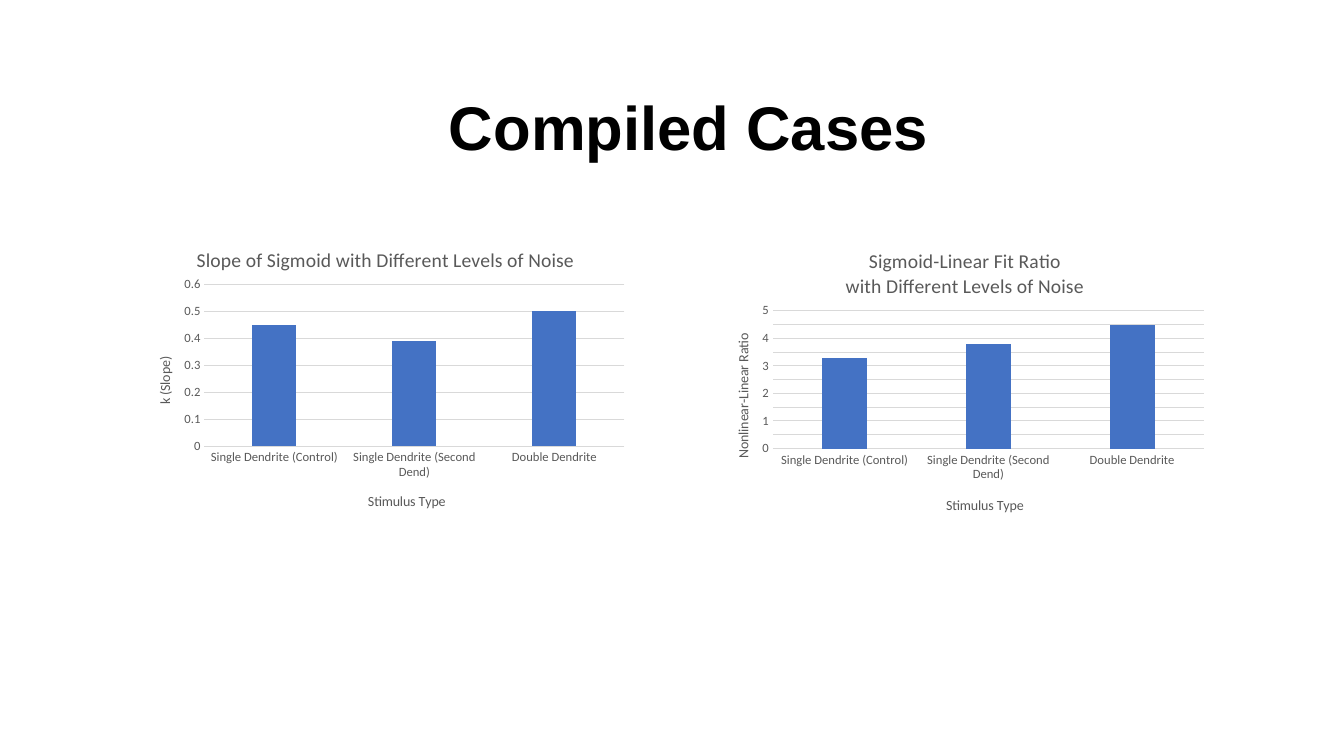
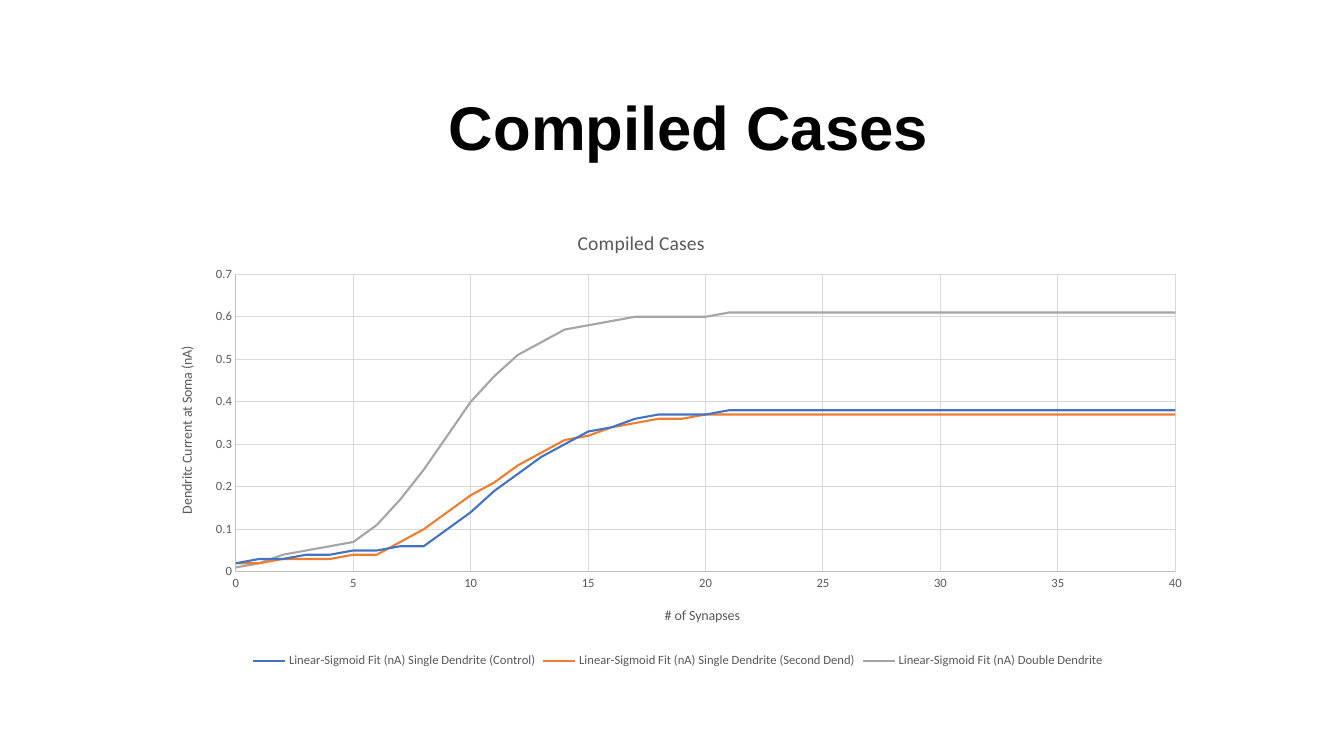
from pptx import Presentation
from pptx.chart.data import CategoryChartData, XyChartData
from pptx.dml.color import RGBColor
from pptx.enum import chart as ch, text
from pptx.oxml import parse_xml
from pptx.oxml.ns import nsdecls, qn
from pptx.util import Pt

BLACK, GREY, GRID, AXIS = "000000", "595959", "D9D9D9", "BFBFBF"
BLUE, ORANGE, SILVER = "4472C4", "ED7D31", "A5A5A5"
HEADING_FONT, CHART_FONT = "Arial", "Calibri"

STIMULI = ["Single Dendrite (Control)", "Single Dendrite (Second Dend)", "Double Dendrite"]
SYNAPSES = 40
# Currents for 0, 1, 2 ... synapses; the last value is the plateau that holds up to SYNAPSES.
CURRENTS = [
    [0.02, 0.03, 0.03, 0.04, 0.04, 0.05, 0.05, 0.06, 0.06, 0.1, 0.14, 0.19,
     0.23, 0.27, 0.3, 0.33, 0.34, 0.36, 0.37, 0.37, 0.37, 0.38],
    [0.02, 0.02, 0.03, 0.03, 0.03, 0.04, 0.04, 0.07, 0.1, 0.14, 0.18, 0.21,
     0.25, 0.28, 0.31, 0.32, 0.34, 0.35, 0.36, 0.36, 0.37],
    [0.01, 0.02, 0.04, 0.05, 0.06, 0.07, 0.11, 0.17, 0.24, 0.32, 0.4, 0.46,
     0.51, 0.54, 0.57, 0.58, 0.59, 0.6, 0.6, 0.6, 0.6, 0.61],
]


def rgb(color):
    return RGBColor.from_string(color)


def style_font(font, name, size, color, bold=False):
    font.name, font.size, font.bold = name, Pt(size), bold
    font.color.rgb = rgb(color)


def style_line(line, color, width=0.75):
    line.color.rgb = rgb(color)
    line.width = Pt(width)


def add_titled_slide(prs, title):
    slide = prs.slides.add_slide(prs.slide_layouts[5])
    heading = slide.shapes.title
    heading.left, heading.top, heading.width, heading.height = map(Pt, (78, 41, 828, 104.5))
    frame = heading.text_frame
    frame.text = title
    frame.vertical_anchor = text.MSO_ANCHOR.MIDDLE
    paragraph = frame.paragraphs[0]
    paragraph.alignment = text.PP_ALIGN.CENTER
    paragraph.line_spacing = 0.9
    style_font(paragraph.runs[0].font, HEADING_FONT, 44, BLACK, True)
    return slide


def place(element, box, size):
    """Fix a chart part at box (x, y[, w, h]), in points inside a chart of the given size."""
    for old in element.findall(qn("c:layout")):
        element.remove(old)
    target = '<c:layoutTarget val="inner"/>' if len(box) == 4 else ""
    modes = '<c:xMode val="edge"/><c:yMode val="edge"/>'
    values = "".join(f'<c:{key} val="{length / whole:.4f}"/>'
                     for key, length, whole in zip("xywh", box, size * 2))
    layout = parse_xml(f'<c:layout {nsdecls("c")}><c:manualLayout>{target}{modes}{values}'
                       "</c:manualLayout></c:layout>")
    element.insert(0 if element.find(qn("c:tx")) is None else 1, layout)


def set_title(title, wording, font_size, at, size):
    title.text_frame.text = wording
    for paragraph in title.text_frame.paragraphs:
        for run in paragraph.runs:
            style_font(run.font, CHART_FONT, font_size, GREY)
    place(title.element, at, size)


def style_axis(axis, line_color, grid):
    axis.major_tick_mark = axis.minor_tick_mark = ch.XL_TICK_MARK.NONE
    style_font(axis.tick_labels.font, CHART_FONT, 9, GREY)
    if line_color:
        style_line(axis.format.line, line_color)
    else:
        axis.format.line.fill.background()
    axis.has_major_gridlines = grid
    if grid:
        style_line(axis.major_gridlines.format.line, GRID)


def set_scale(axis, maximum, step):
    axis.minimum_scale, axis.maximum_scale, axis.major_unit = 0, maximum, step
    axis.tick_labels.number_format = "General"
    axis.tick_labels.number_format_is_linked = False


def add_chart(slide, kind, data, box, plot_box, titles):
    """Add a chart; titles holds (wording, position) for the chart, x axis and y axis."""
    chart = slide.shapes.add_chart(kind, *map(Pt, box), data).chart
    size = box[2:]
    style_font(chart.font, CHART_FONT, 10, BLACK)
    chart.has_title, chart.has_legend = True, False
    owners = [chart.chart_title, chart.category_axis.axis_title, chart.value_axis.axis_title]
    for owner, (wording, at), font_size in zip(owners, titles, (14, 10, 10)):
        set_title(owner, wording, font_size, at, size)
    place(chart.element.find(".//" + qn("c:plotArea")), plot_box, size)
    return chart


def add_columns(slide, values, box, plot_box, titles, maximum, step):
    data = CategoryChartData()
    data.categories = STIMULI
    data.add_series("Series 1", values)
    chart = add_chart(slide, ch.XL_CHART_TYPE.COLUMN_CLUSTERED, data, box, plot_box, titles)
    style_axis(chart.category_axis, GRID, False)
    style_axis(chart.value_axis, None, True)
    set_scale(chart.value_axis, maximum, step)
    plot = chart.plots[0]
    plot.gap_width, plot.overlap, plot.vary_by_categories = 219, -27, False
    fill = plot.series[0].format.fill
    fill.solid()
    fill.fore_color.rgb = rgb(BLUE)


def add_curves(slide, box, plot_box, titles):
    data = XyChartData()
    for stimulus, currents in zip(STIMULI, CURRENTS):
        series = data.add_series(f"Linear-Sigmoid Fit (nA) {stimulus}")
        for count in range(SYNAPSES + 1):
            series.add_data_point(count, currents[min(count, len(currents) - 1)])
    chart = add_chart(slide, ch.XL_CHART_TYPE.XY_SCATTER_SMOOTH_NO_MARKERS, data,
                      box, plot_box, titles)
    for axis, maximum, step in ((chart.category_axis, SYNAPSES, 5), (chart.value_axis, 0.7, 0.1)):
        style_axis(axis, AXIS, True)
        set_scale(axis, maximum, step)
    chart.plots[0].vary_by_categories = False
    for series, color in zip(chart.plots[0].series, (BLUE, ORANGE, SILVER)):
        style_line(series.format.line, color, 1.5)
        series.marker.style = ch.XL_MARKER_STYLE.NONE
    chart.has_legend = True
    chart.legend.position = ch.XL_LEGEND_POSITION.BOTTOM
    chart.legend.include_in_layout = False
    style_font(chart.legend.font, CHART_FONT, 9, GREY)


def main():
    prs = Presentation()
    prs.slide_width, prs.slide_height = Pt(960), Pt(540)

    bars = add_titled_slide(prs, "Compiled Cases")
    add_columns(bars, [0.45, 0.39, 0.5], (93, 160.5, 360, 216), (53, 42.5, 300, 116),
                [("Slope of Sigmoid with Different Levels of Noise", (45, 12.5)),
                 ("Stimulus Type", (168, 189.5)), ("k (Slope)", (16.5, 92.5))], 0.6, 0.1)
    add_columns(bars, [3.3, 3.8, 4.5], (507.5, 163.5, 360, 216), (44.5, 58.5, 308, 98.5),
                [("Sigmoid-Linear Fit Ratio\nwith Different Levels of Noise", (94.5, 11.5)),
                 ("Stimulus Type", (166.5, 189)), ("Nonlinear-Linear Ratio", (15, 73))], 5, 0.5)

    curves = add_titled_slide(prs, "Compiled Cases")
    add_curves(curves, (109.5, 147.5, 749.5, 332.5), (59, 48.5, 671, 212.5),
               [("Compiled Cases", (300.5, 14)), ("# of Synapses", (363.5, 284)),
                ("Dendritc Current at Soma (nA)", (15.5, 98))])
    prs.save("out.pptx")


if __name__ == "__main__":
    main()
